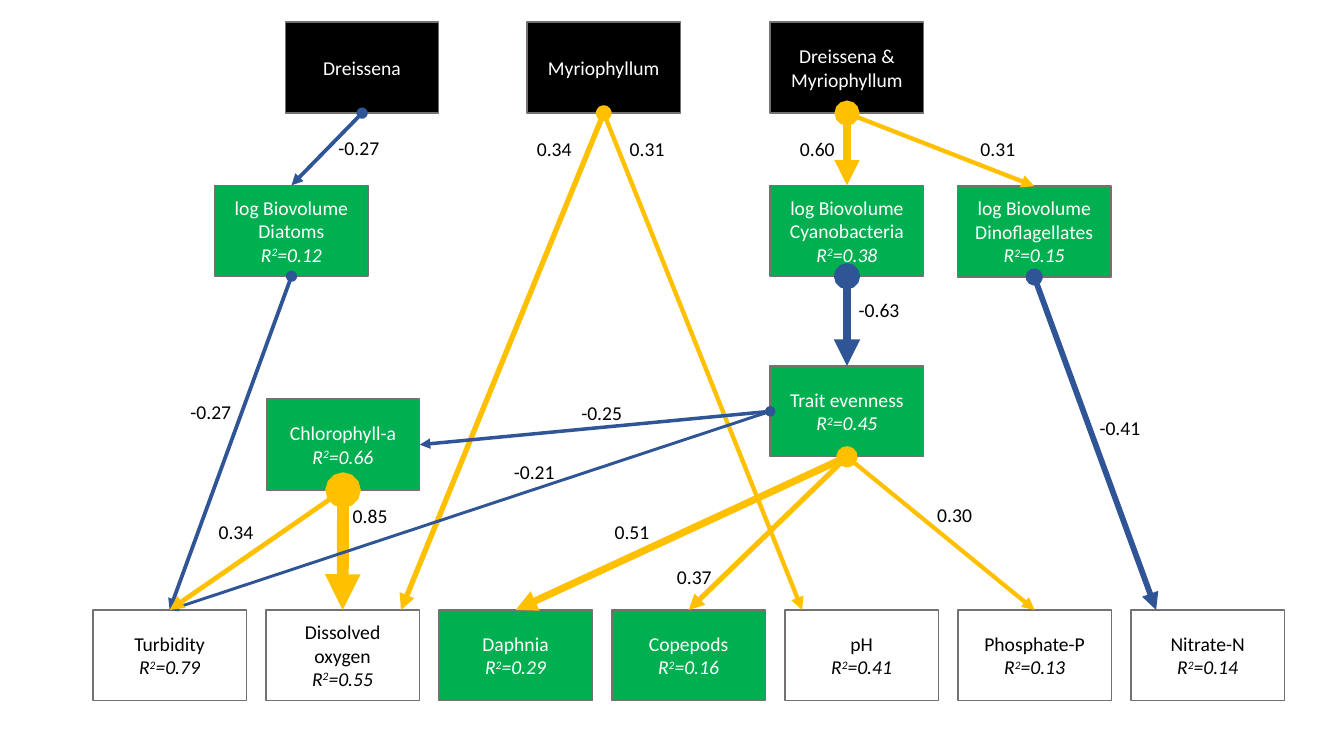
import pptx
import pptx.util
import pptx.dml.color
import pptx.enum.shapes
import pptx.enum.text
import pptx.oxml
import pptx.oxml.ns
from pptx.util import Cm, Pt

BLACK, WHITE, GREEN = "000000", "FFFFFF", "00B050"
GREY, POSITIVE, NEGATIVE = "767171", "FFC000", "2F5597"
TOP, LEFT, BOTTOM, RIGHT = range(4)
BOX_WIDTH, BOX_HEIGHT = 3.87, 2.29
OUTCOME_LEFT, OUTCOME_STEP, OUTCOME_TOP = 2.34, 4.36, 15.37


def colour(value):
    """Turn a hex string into a colour."""
    return pptx.dml.color.RGBColor.from_string(value)


def style_span(span, ink, italic=False):
    """Format one run of text."""
    span.font.name = "Calibri"
    span.font.size = Pt(14)
    span.font.italic = italic
    span.font.color.rgb = colour(ink)


deck = pptx.Presentation()
deck.slide_width, deck.slide_height = Cm(33.87), Cm(19.05)
page = deck.slides.add_slide(deck.slide_layouts[6])

# Name, R squared, left, top, fill
variables = [
    ("Dreissena", None, 7.19, 0.56, BLACK),
    ("Myriophyllum", None, 13.28, 0.56, BLACK),
    ("Dreissena & Myriophyllum", None, 19.41, 0.56, BLACK),
    ("log Biovolume Diatoms", "0.12", 5.41, 4.67, GREEN),
    ("log Biovolume Cyanobacteria", "0.38", 19.41, 4.67, GREEN),
    ("log Biovolume Dinoflagellates", "0.15", 24.13, 4.69, GREEN),
    ("Chlorophyll-a", "0.66", 6.71, 10.06, GREEN),
    ("Trait evenness", "0.45", 19.41, 9.22, GREEN),
]
outcomes = [
    ("Turbidity", "0.79", WHITE),
    ("Dissolved oxygen", "0.55", WHITE),
    ("Daphnia", "0.29", GREEN),
    ("Copepods", "0.16", GREEN),
    ("pH", "0.41", WHITE),
    ("Phosphate-P", "0.13", WHITE),
    ("Nitrate-N", "0.14", WHITE),
]
for column, (name, fit, fill) in enumerate(outcomes):
    variables.append((name, fit, OUTCOME_LEFT + column * OUTCOME_STEP, OUTCOME_TOP, fill))

boxes = {}
for name, fit, left, top, fill in variables:
    box = page.shapes.add_shape(
        pptx.enum.shapes.MSO_SHAPE.RECTANGLE,
        Cm(left), Cm(top), Cm(BOX_WIDTH), Cm(BOX_HEIGHT))
    box.shadow.inherit = False
    box.fill.solid()
    box.fill.fore_color.rgb = colour(fill)
    box.line.color.rgb = colour(GREY)
    box.line.width = Pt(1)
    frame = box.text_frame
    frame.vertical_anchor = pptx.enum.text.MSO_ANCHOR.MIDDLE
    frame.text = name
    ink = BLACK if fill == WHITE else WHITE
    style_span(frame.paragraphs[0].runs[0], ink)
    if fit:
        para = frame.add_paragraph()
        for text in ("R", "2", "=" + fit):
            span = para.add_run()
            span.text = text
            style_span(span, ink, italic=True)
        para.runs[1]._r.get_or_add_rPr().set("baseline", "30000")
    for para in frame.paragraphs:
        para.alignment = pptx.enum.text.PP_ALIGN.CENTER
    boxes[name] = box

# Source, target, coefficient, line width, label left, label top
effects = [
    ("Dreissena", "log Biovolume Diatoms", "-0.27", 2.7, 8.28, 3.3),
    ("Myriophyllum", "Dissolved oxygen", "0.34", 3.8, 13.28, 3.33),
    ("Myriophyllum", "pH", "0.31", 3.1, 15.62, 3.33),
    ("Dreissena & Myriophyllum", "log Biovolume Cyanobacteria", "0.60", 6, 19.91, 3.33),
    ("Dreissena & Myriophyllum", "log Biovolume Dinoflagellates", "0.31", 3.1, 24.46, 3.33),
    ("log Biovolume Cyanobacteria", "Trait evenness", "-0.63", 6.3, 21.39, 7.39),
    ("log Biovolume Dinoflagellates", "Nitrate-N", "-0.41", 4.1, 27.46, 10.36),
    ("log Biovolume Diatoms", "Turbidity", "-0.27", 2.7, 4.55, 9.96),
    ("Chlorophyll-a", "Dissolved oxygen", "0.85", 8.5, 8.64, 12.57),
    ("Trait evenness", "Chlorophyll-a", "-0.25", 2.5, 14.4, 9.98),
    ("Trait evenness", "Turbidity", "-0.21", 2.1, 12.7, 11.46),
    ("Trait evenness", "Daphnia", "0.51", 5.1, 15.24, 12.98),
    ("Trait evenness", "Copepods", "0.37", 3.7, 16.81, 14.1),
    ("Chlorophyll-a", "Turbidity", "0.34", 3.4, 5.26, 12.98),
    ("Trait evenness", "Phosphate-P", "0.30", 3, 23.37, 12.55),
]
# Arrows run from bottom to top centre except for these
side_exits = {
    ("Trait evenness", "Chlorophyll-a"): (LEFT, RIGHT),
    ("Trait evenness", "Turbidity"): (LEFT, TOP),
}
end_shifts = {
    ("Myriophyllum", "Dissolved oxygen"): 1.47,
    ("Myriophyllum", "pH"): -1.5,
    ("log Biovolume Dinoflagellates", "Nitrate-N"): -1.3,
}
for source, target, coefficient, width, *_ in effects:
    pair = source, target
    start_side, end_side = side_exits.get(pair, (BOTTOM, TOP))
    goal = boxes[target]
    arrow = page.shapes.add_connector(
        pptx.enum.shapes.MSO_CONNECTOR.STRAIGHT, 0, 0, 0, 0)
    arrow.begin_connect(boxes[source], start_side)
    if pair in end_shifts:
        arrow.end_x = goal.left + goal.width // 2 + Cm(end_shifts[pair])
        arrow.end_y = goal.top
    else:
        arrow.end_connect(goal, end_side)
    arrow.line.color.rgb = colour(NEGATIVE if coefficient.startswith("-") else POSITIVE)
    arrow.line.width = Pt(width)
    outline = arrow.line._get_or_add_ln()
    for tag, kind in (("a:headEnd", "oval"), ("a:tailEnd", "triangle")):
        tip = pptx.oxml.parse_xml(f"<{tag} {pptx.oxml.ns.nsdecls('a')} type='{kind}'/>")
        outline.append(tip)
    arrow._element.spPr.append(
        pptx.oxml.parse_xml(f"<a:effectLst {pptx.oxml.ns.nsdecls('a')}/>"))

for source, target, coefficient, width, left, top in effects:
    label = page.shapes.add_textbox(Cm(left), Cm(top), Cm(2.39), Cm(0.86))
    label.text_frame.word_wrap = True
    label.text_frame.text = coefficient
    style_span(label.text_frame.paragraphs[0].runs[0], BLACK)

deck.save("out.pptx")
